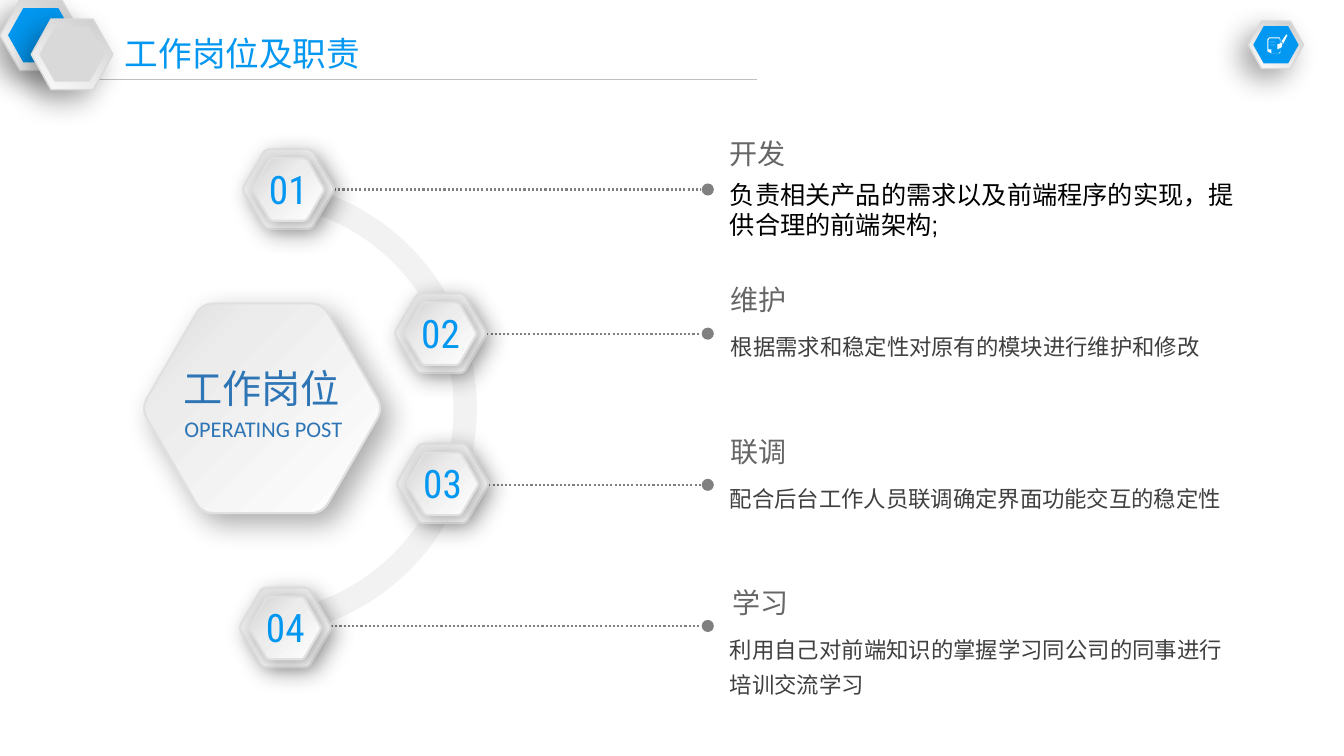
import math
from dataclasses import dataclass

import lxml.etree
import pptx
import pptx.dml.color
import pptx.enum.dml
import pptx.enum.shapes
import pptx.enum.text
import pptx.oxml.ns
import pptx.util

Inches = pptx.util.Inches
Pt = pptx.util.Pt
qn = pptx.oxml.ns.qn
SHAPE = pptx.enum.shapes.MSO_SHAPE
ALIGN = pptx.enum.text.PP_ALIGN

COLORS = {
    "blue": "0297F0", "navy": "2E75B6", "gray": "808080", "heading": "666666",
    "body": "404040", "black": "000000", "white": "FFFFFF", "band": "F2F2F2",
    "silver": "D9D9D9", "rule": "BFBFBF", "edge": "E0E0E0",
    "cool": "CCCCCC", "frost": "FCFCFC", "pale": "ECECEC", "shade": "D1D1D1",
}
CJK = "Noto Sans CJK SC"

Box = tuple[float, float, float, float]
Points = list[tuple[float, float]]


@dataclass(frozen=True)
class Finish:
    stops: tuple[tuple[int, str], ...]
    angle: int
    edge: str
    width: float
    alpha: int
    blur: int
    dist: int
    direction: int


@dataclass(frozen=True)
class Style:
    font: str
    size: int
    color: str
    align: ALIGN | None = None
    spacing: float | None = None
    wrap: bool = True


@dataclass(frozen=True)
class Post:
    number: str
    x: float
    y: float
    dot_y: float
    title: str
    title_at: tuple[float, float]
    body: str
    body_box: Box
    body_style: Style


@dataclass(frozen=True)
class Badge:
    x: float
    y: float
    w: float
    h: float
    inset: float
    color: str


FRAME = Finish(((0, "cool"), (100, "frost")), 120, "silver", 1, 34, 20, 10, 136)
OUTER = Finish(((0, "white"), (73, "pale"), (100, "silver")), 45, "edge", 1.5, 32, 16, 5, 45)
INNER = Finish(((0, "white"), (60, "pale"), (100, "shade")), 45, "edge", 1.5, 33, 12, 3, 45)
CENTER = Finish(OUTER.stops, 45, "edge", 1.5, 32, 20, 9, 45)

PAGE_TITLE = Style(CJK, 24, "blue")
NUMBER = Style("Roboto Condensed", 28, "blue", ALIGN.CENTER)
CENTER_TITLE = Style(CJK, 28, "navy", wrap=False)
CENTER_SUB = Style("Calibri", 16, "navy")
HEADING = Style(CJK, 20, "heading", wrap=False)
LEAD = Style("Arial", 18, "black")
BODY = Style(CJK, 16, "body", ALIGN.JUSTIFY, 1.3)

POSTS = [
    Post("01", 2.41, 1.48, 1.88, "开发", (7.14, 1.31),
         "负责相关产品的需求以及前端程序的实现，提供合理的前端架构;", (7.14, 1.73, 5.27, 0.71), LEAD),
    Post("02", 3.92, 2.91, 3.31, "维护", (7.15, 2.75),
         "根据需求和稳定性对原有的模块进行维护和修改", (7.15, 3.18, 5.03, 0.42), BODY),
    Post("03", 3.94, 4.4, 4.81, "联调", (7.15, 4.26),
         "配合后台工作人员联调确定界面功能交互的稳定性", (7.14, 4.68, 5.08, 0.77), BODY),
    Post("04", 2.38, 5.83, 6.21, "学习", (7.17, 5.76),
         "利用自己对前端知识的掌握学习同公司的同事进行培训交流学习", (7.14, 6.18, 5.08, 0.77), BODY),
]
BADGES = [
    Badge(0, 0, 0.81, 0.7, 0.08, "blue"),
    Badge(0.31, 0.19, 0.81, 0.7, 0.08, "silver"),
    Badge(12.38, 0.21, 0.55, 0.47, 0.05, "blue"),
]
PENCIL = [(12.76, 0.34), (12.71, 0.41), (12.73, 0.43), (12.77, 0.35)]
TIP = [(12.7, 0.42), (12.7, 0.43), (12.67, 0.44), (12.67, 0.49),
       (12.71, 0.47), (12.72, 0.43)]
SHEET = [(12.7, 0.51), (12.68, 0.53), (12.61, 0.53), (12.61, 0.49), (12.58, 0.49),
         (12.58, 0.4), (12.59, 0.38), (12.69, 0.38), (12.7, 0.42), (12.7, 0.39),
         (12.69, 0.37), (12.59, 0.37), (12.57, 0.39), (12.57, 0.51), (12.61, 0.53),
         (12.69, 0.53), (12.7, 0.52), (12.7, 0.48)]


def rgb(color: str) -> pptx.dml.color.RGBColor:
    return pptx.dml.color.RGBColor.from_string(COLORS[color])


def add_color(parent, color: str):
    return lxml.etree.SubElement(parent, qn("a:srgbClr"), val=COLORS[color])


def paint(sp, color: str) -> None:
    sp.shadow.inherit = False
    sp.fill.solid()
    sp.fill.fore_color.rgb = rgb(color)
    sp.line.fill.background()


def apply_finish(sp, finish: Finish) -> None:
    paint(sp, "white")
    sp.line.color.rgb = rgb(finish.edge)
    sp.line.width = Pt(finish.width)
    props = sp._element.spPr
    grad = lxml.etree.Element(qn("a:gradFill"), rotWithShape="1")
    stops = lxml.etree.SubElement(grad, qn("a:gsLst"))
    for pos, color in finish.stops:
        add_color(lxml.etree.SubElement(stops, qn("a:gs"), pos=str(pos * 1000)), color)
    lxml.etree.SubElement(grad, qn("a:lin"), ang=str(finish.angle * 60000), scaled="0")
    props.replace(props.find(qn("a:solidFill")), grad)
    shadow = lxml.etree.SubElement(
        props.find(qn("a:effectLst")), qn("a:outerShdw"), blurRad=str(Pt(finish.blur)),
        dist=str(Pt(finish.dist)), dir=str(finish.direction * 60000), algn="ctr", rotWithShape="0")
    lxml.etree.SubElement(add_color(shadow, "black"), qn("a:alpha"), val=str(finish.alpha * 1000))


def add_preset(s, kind: SHAPE, box: Box, color: str):
    sp = s.shapes.add_shape(kind, *map(Inches, box))
    paint(sp, color)
    return sp


def add_outline(s, points: Points, color: str):
    start, *rest = [(Inches(x), Inches(y)) for x, y in points]
    builder = s.shapes.build_freeform(*start, scale=1.0)
    builder.add_line_segments(rest, close=True)
    sp = builder.convert_to_shape()
    paint(sp, color)
    return sp


def add_round_hexagon(s, box: Box, finish: Finish) -> None:
    left, top, w, h = box
    corners = [(-0.013, 0.5), (0.245, 0), (0.755, 0), (1.013, 0.5), (0.755, 1), (0.245, 1)]
    points = []
    for i, (x, y) in enumerate(corners):
        (px, py), (nx, ny) = corners[i - 1], corners[(i + 1) % 6]
        for k in range(9):
            t = k / 8
            a, b = 0.1 * (1 - t) ** 2, 0.1 * t ** 2
            points.append((left + w * (x + a * (px - x) + b * (nx - x)),
                           top + h * (y + a * (py - y) + b * (ny - y))))
    sp = add_outline(s, points, "white")
    sp.rotation = 180
    apply_finish(sp, finish)


def add_band(s, cx: float, cy: float, outer: float, inner: float) -> None:
    angles = [math.radians(a) for a in range(-90, 91, 3)]
    arcs = [(outer, angles), (inner, angles[::-1])]
    add_outline(s, [(cx + r * math.cos(a), cy + r * math.sin(a)) for r, turn in arcs for a in turn], "band")


def add_line(s, x1: float, x2: float, y: float, color: str, width: float, dash=None) -> None:
    cn = s.shapes.add_connector(pptx.enum.shapes.MSO_CONNECTOR.STRAIGHT,
                                Inches(x1), Inches(y), Inches(x2), Inches(y))
    cn.line.color.rgb = rgb(color)
    for name, value in {"width": Pt(width), "dash_style": dash}.items():
        setattr(cn.line, name, value)
    lxml.etree.SubElement(cn._element.spPr, qn("a:effectLst"))


def add_text(s, box: Box, text: str, style: Style) -> None:
    tf = s.shapes.add_textbox(*map(Inches, box)).text_frame
    p = tf.paragraphs[0]
    r = p.add_run()
    r.text = text
    formats = [
        (tf, {"word_wrap": style.wrap, "auto_size": pptx.enum.text.MSO_AUTO_SIZE.SHAPE_TO_FIT_TEXT}),
        (p, {"alignment": style.align, "line_spacing": style.spacing}),
        (r.font, {"name": style.font, "size": Pt(style.size)}),
        (r.font.color, {"rgb": rgb(style.color)}),
    ]
    for target, values in formats:
        for name, value in values.items():
            setattr(target, name, value)
    lxml.etree.SubElement(r._r.get_or_add_rPr(), qn("a:ea"), typeface=style.font)


def add_badge(s, badge: Badge) -> None:
    d = badge.inset
    frame = add_preset(s, SHAPE.HEXAGON, (badge.x, badge.y, badge.w, badge.h), "white")
    apply_finish(frame, FRAME)
    core = add_preset(s, SHAPE.HEXAGON, (badge.x + d, badge.y + d, badge.w - 2 * d, badge.h - 2 * d), badge.color)
    for sp in (frame, core):
        sp.adjustments[0] = 0.28


def add_post(s, post: Post) -> None:
    add_line(s, post.x + 0.82, 6.95, post.dot_y, "gray", 1.5, pptx.enum.dml.MSO_LINE.ROUND_DOT)
    add_preset(s, SHAPE.OVAL, (6.96, post.dot_y - 0.06, 0.12, 0.12), "gray")
    add_round_hexagon(s, (post.x, post.y, 0.9, 0.79), OUTER)
    add_round_hexagon(s, (post.x + 0.1, post.y + 0.09, 0.7, 0.62), INNER)
    add_text(s, (post.x - 0.03, post.y + 0.11, 0.96, 0.57), post.number, NUMBER)
    add_text(s, (*post.title_at, 0.76, 0.44), post.title, HEADING)
    add_text(s, post.body_box, post.body, post.body_style)


def main() -> None:
    prs = pptx.Presentation()
    prs.slide_width, prs.slide_height = Inches(13.33), Inches(7.5)
    s = prs.slides.add_slide(prs.slide_layouts[6])
    add_line(s, 0.81, 7.51, 0.79, "rule", 1)
    for badge in BADGES:
        add_badge(s, badge)
    for outline in (PENCIL, TIP, SHEET):
        add_outline(s, outline, "white")
    for y in (0.41, 0.42, 0.44, 0.45):
        add_preset(s, SHAPE.RECTANGLE, (12.6, y, 0.05, 0), "white")
    add_text(s, (1.14, 0.28, 2.68, 0.5), "工作岗位及职责", PAGE_TITLE)
    add_band(s, 2.46, 4.05, 2.27, 2.04)
    add_round_hexagon(s, (1.43, 3.01, 2.34, 2.08), CENTER)
    add_text(s, (1.72, 3.57, 1.89, 0.57), "工作岗位", CENTER_TITLE)
    add_text(s, (1.73, 4.07, 1.81, 0.37), "OPERATING POST", CENTER_SUB)
    for post in POSTS:
        add_post(s, post)
    prs.save("out.pptx")


if __name__ == "__main__":
    main()
